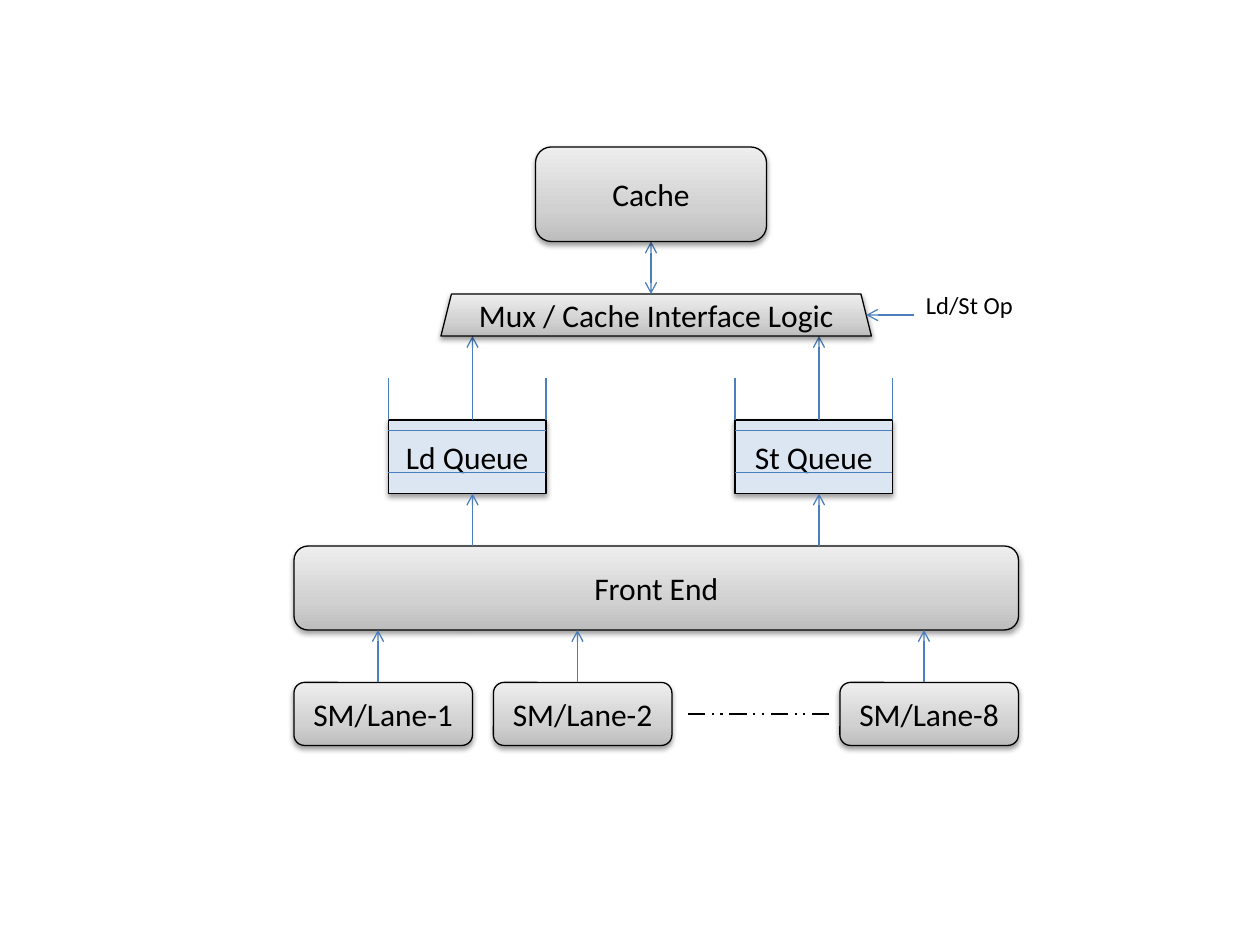
from lxml import etree
from pptx import Presentation
from pptx import util as u
from pptx.dml.color import RGBColor
from pptx.enum import dml, shapes, text
from pptx.oxml import ns

BLACK = RGBColor(0x00, 0x00, 0x00)
BLUE = RGBColor(0x4B, 0x7E, 0xBC)
PALE_BLUE = RGBColor(0xDC, 0xE6, 0xF2)
GREY_STOPS = [(0, "BDBDBD"), (35, "D1D1D1"), (100, "EEEEEE")]
FONT = "Calibri"
SHAPE = shapes.MSO_SHAPE


def grid(steps):
    """The diagram sits on a grid of twelve steps to the inch."""
    return u.Cm(steps * 2.54 / 12)


def add_child(parent, tag, **attributes):
    child = etree.SubElement(parent, ns.qn(tag))
    for name, value in attributes.items():
        child.set(name, str(value))
    return child


def add_run(paragraph, words, size):
    run = paragraph.add_run()
    run.text = words
    run.font.name = FONT
    run.font.size = u.Pt(size)
    run.font.color.rgb = BLACK


def fill_grey(shape):
    shape.fill.gradient()
    shape.fill.gradient_angle = 90
    stops = shape._element.spPr.find(".//" + ns.qn("a:gsLst"))
    for stop in list(stops):
        stops.remove(stop)
    for position, colour in GREY_STOPS:
        stop = add_child(stops, "a:gs", pos=position * 1000)
        add_child(stop, "a:srgbClr", val=colour)


def add_shadow(shape):
    shape.shadow.inherit = False
    effects = shape._element.spPr.find(ns.qn("a:effectLst"))
    shadow = add_child(effects, "a:outerShdw", blurRad=u.Pt(3.1), dist=u.Pt(1.6),
                       dir=5400000, rotWithShape=0)
    colour = add_child(shadow, "a:srgbClr", val="000000")
    add_child(colour, "a:alpha", val=38000)


def add_block(slide, kind, box, label, colour=None):
    shape = slide.shapes.add_shape(kind, *map(grid, box))
    if colour is None:
        fill_grey(shape)
    else:
        shape.fill.solid()
        shape.fill.fore_color.rgb = colour
    shape.line.color.rgb = BLACK
    shape.line.width = u.Pt(0.75)
    add_shadow(shape)
    frame = shape.text_frame
    frame.vertical_anchor = text.MSO_ANCHOR.MIDDLE
    paragraph = frame.paragraphs[0]
    paragraph.alignment = text.PP_ALIGN.CENTER
    add_run(paragraph, label, 18)


def add_line(slide, start, end, ends=(), colour=BLUE, width=0.75, dash=None):
    line = slide.shapes.add_connector(shapes.MSO_CONNECTOR.STRAIGHT,
                                      *map(grid, start + end))
    line.line.color.rgb = colour
    line.line.width = u.Pt(width)
    if dash is not None:
        line.line.dash_style = dash
    properties = line._element.spPr
    outline = properties.find(ns.qn("a:ln"))
    for name in ends:
        add_child(outline, "a:" + name, type="arrow")
    add_child(properties, "a:effectLst")


def add_arrow(slide, start, end):
    add_line(slide, start, end, ["tailEnd"])


def add_lane(slide, box, label):
    left, top = box[:2]
    add_block(slide, SHAPE.ROUNDED_RECTANGLE, box, label)
    add_arrow(slide, (left + 8, top), (left + 8, top - 5))


def add_queue(slide, box, label):
    left, top, width, height = box
    right, bottom = left + width, top + height
    add_block(slide, SHAPE.RECTANGLE, box, label, PALE_BLUE)
    for y in (top + 1, bottom - 2):
        add_line(slide, (left, y), (right, y))
    for x in (left, right):
        add_line(slide, (x, top), (x, top - 4))
    # Flow in from the front end and out to the mux
    middle = left + 8
    add_arrow(slide, (middle, bottom + 5), (middle, bottom))
    add_arrow(slide, (middle, top), (middle, top - 8))


def add_mux(slide, box):
    left, top, width, height = box
    right, middle = left + width, top + height / 2
    add_block(slide, SHAPE.TRAPEZOID, box, "Mux / Cache Interface Logic")
    add_line(slide, (left + 20, top), (left + 20, top - 5), ["headEnd", "tailEnd"])
    # Operation select input
    add_arrow(slide, (right + 4, middle), (right - 0.5, middle))
    label = slide.shapes.add_textbox(*map(grid, (right + 4, top - 1, 11, 4)))
    label.text_frame.word_wrap = True
    add_run(label.text_frame.paragraphs[0], "Ld/St Op", 14)


def build_diagram(slide):
    # Front end and the lanes feeding it
    add_block(slide, SHAPE.ROUNDED_RECTANGLE, (28, 52, 69, 8), "Front End")
    for left, number in ((28, 1), (47, 2), (80, 8)):
        add_lane(slide, (left, 65, 17, 6), f"SM/Lane-{number}")
    add_line(slide, (79, 68), (65, 68), colour=BLACK, width=1.25,
             dash=dml.MSO_LINE.DASH_DOT_DOT)
    # Load and store queues
    for left, label in ((37, "Ld Queue"), (70, "St Queue")):
        add_queue(slide, (left, 40, 15, 7), label)
    # Cache side
    add_mux(slide, (42, 28, 41, 4))
    add_block(slide, SHAPE.ROUNDED_RECTANGLE, (51, 14, 22, 9), "Cache")


presentation = Presentation()
presentation.slide_width = u.Cm(25.4)
presentation.slide_height = u.Cm(19.05)
build_diagram(presentation.slides.add_slide(presentation.slide_layouts[6]))
presentation.save("out.pptx")
